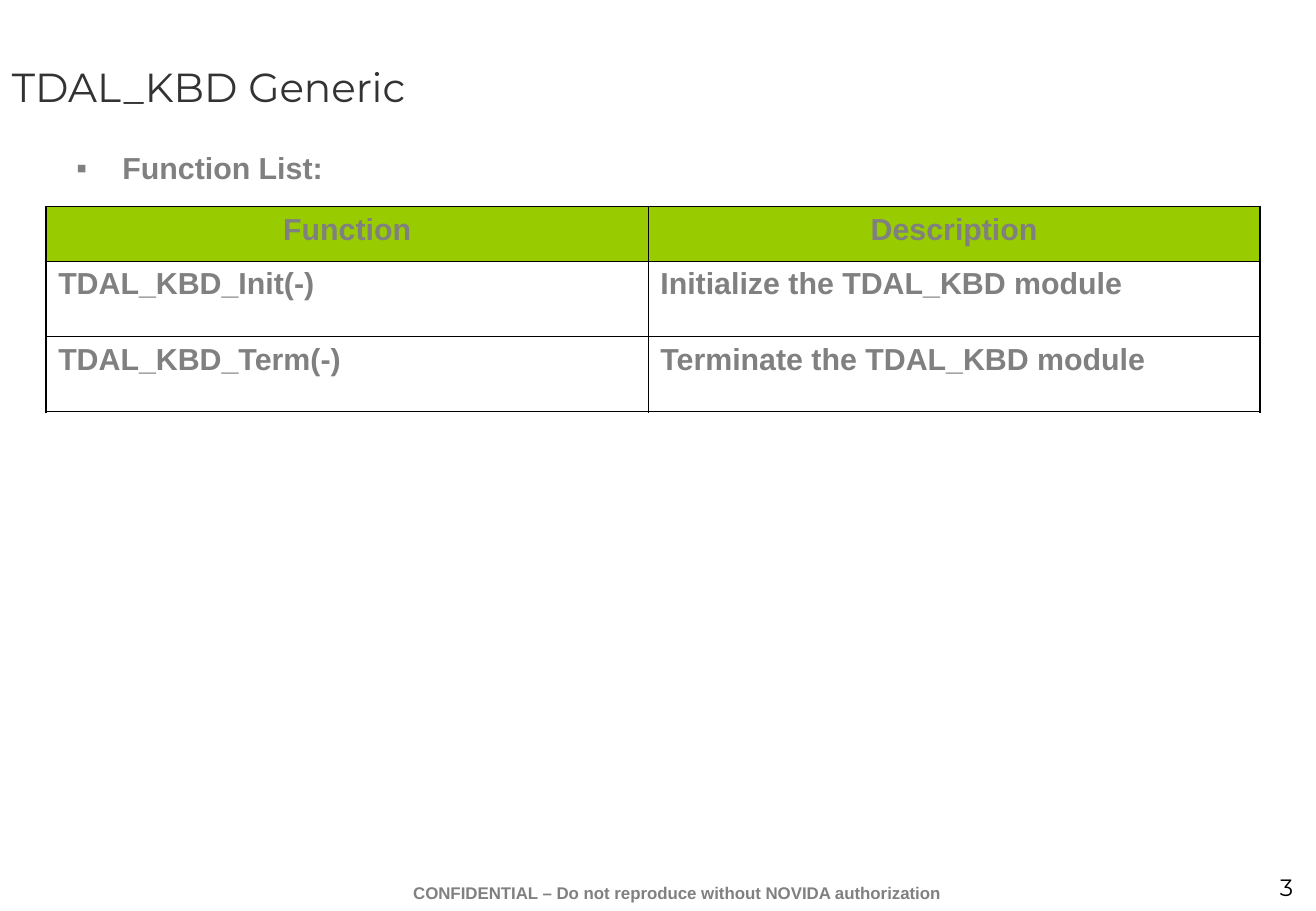
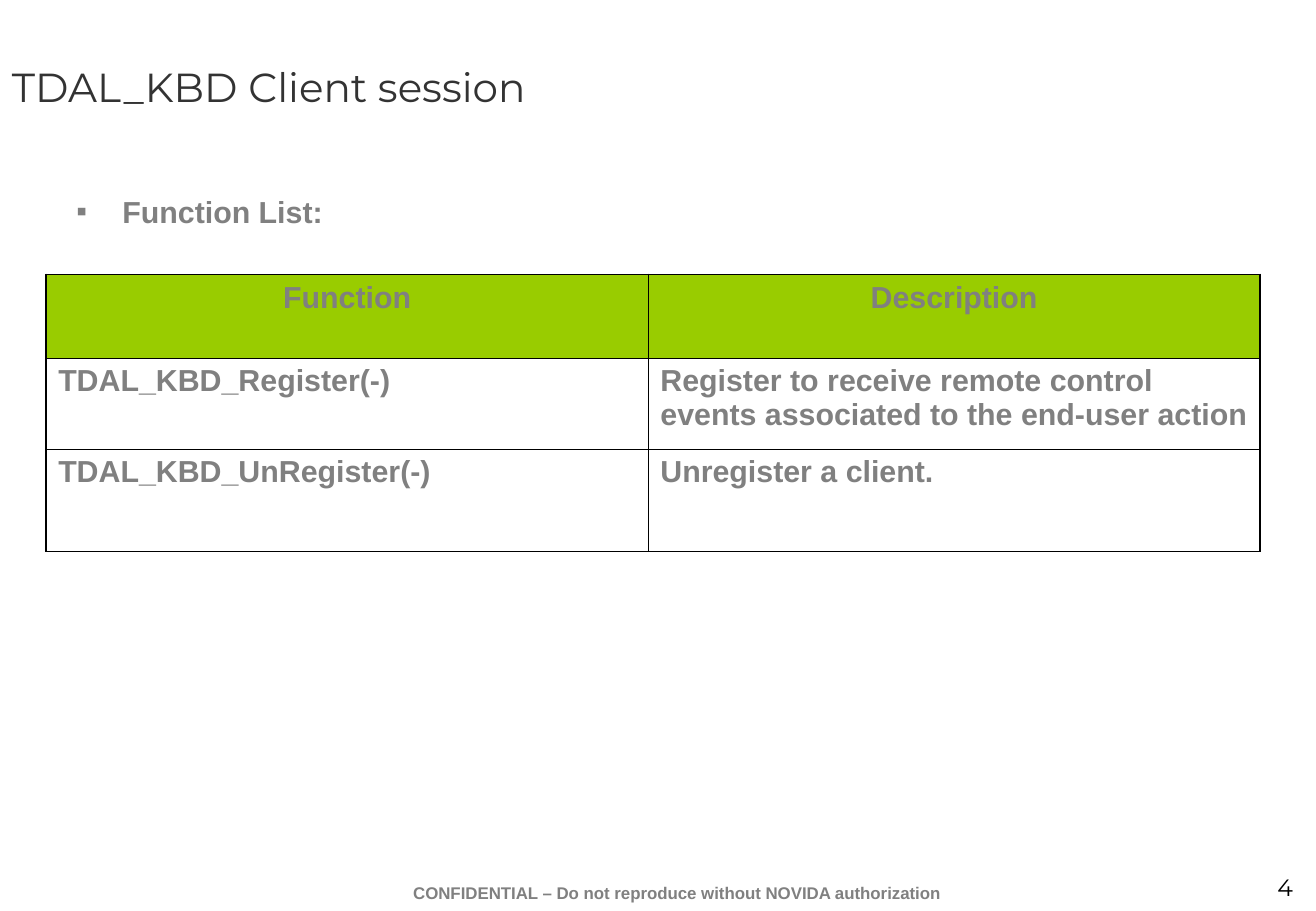
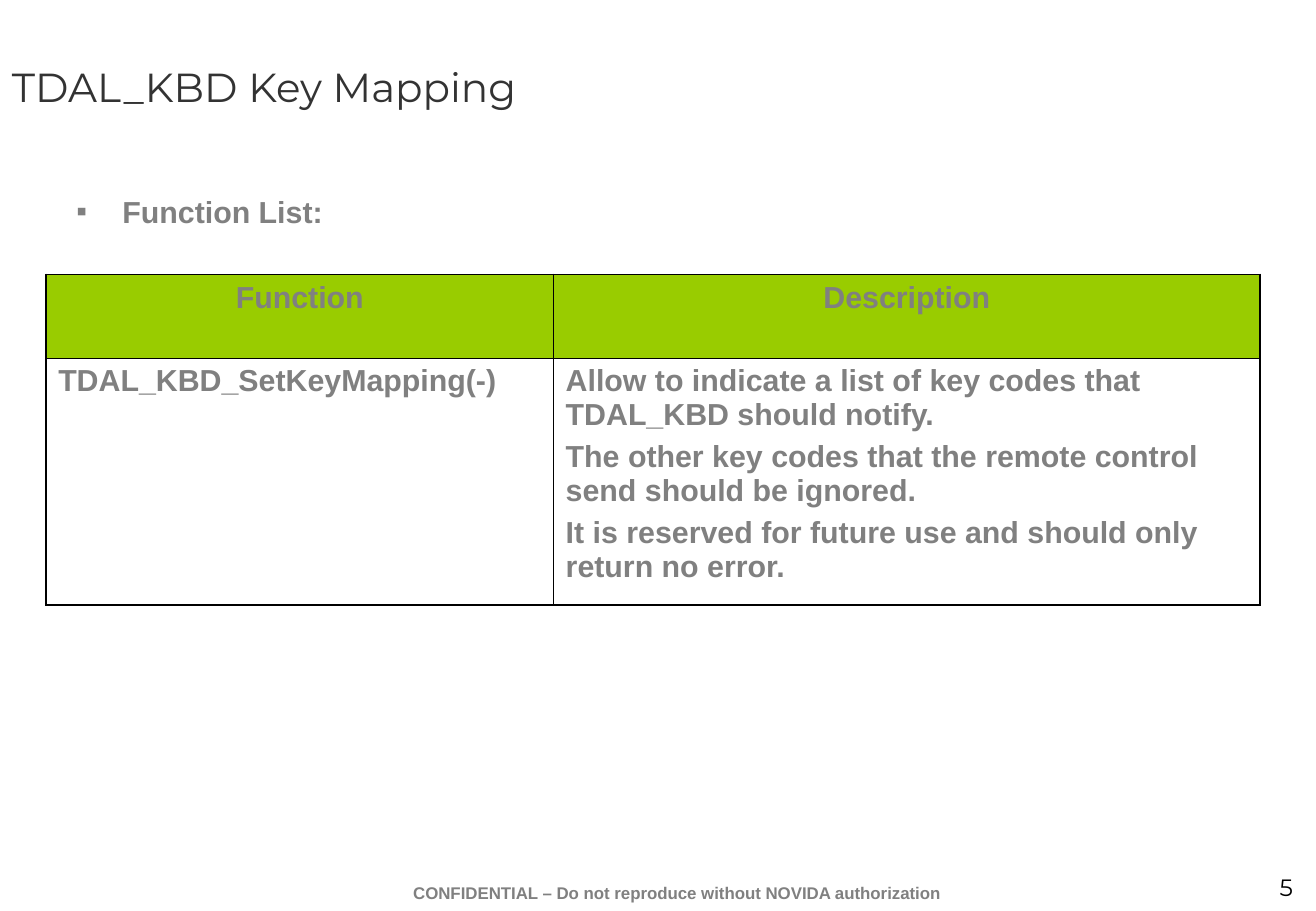
from dataclasses import dataclass

from lxml import etree
from pptx import Presentation
from pptx import util as u
from pptx.dml import color
from pptx.enum import text
from pptx.oxml import ns

LEFT, CENTER, RIGHT = text.PP_ALIGN.LEFT, text.PP_ALIGN.CENTER, text.PP_ALIGN.RIGHT
FOOTER = "CONFIDENTIAL – Do not reproduce without NOVIDA authorization"
FIRST_NUMBER = 3


@dataclass(frozen=True)
class Theme:
    heading_font: str = "Montserrat"
    body_font: str = "Arial"
    title: str = "333333"
    body: str = "808080"
    number: str = "000000"
    border: str = "000000"
    header: str = "99CC00"
    title_size: float = 24
    body_size: float = 18
    number_size: float = 14
    footer_size: float = 10
    gap: float = 4.5
    outer_line: float = 1.08
    inner_line: float = 0.45


PAGES = [
    {
        "title": "TDAL_KBD Generic",
        "list_inset": 0.08,
        "table_top": 1.7,
        "columns": [4.96, 5.04],
        "heights": [0.45, 0.62, 0.62],
        "rows": [
            ("TDAL_KBD_Init(-)", "Initialize the TDAL_KBD module"),
            ("TDAL_KBD_Term(-)", "Terminate the TDAL_KBD module"),
        ],
    },
    {
        "title": "TDAL_KBD Client session",
        "list_inset": 0.44,
        "table_top": 2.26,
        "columns": [4.96, 5.04],
        "heights": [0.69, 0.75, 0.84],
        "rows": [
            ("TDAL_KBD_Register(-)",
             "Register to receive remote control events associated to the end-user action"),
            ("TDAL_KBD_UnRegister(-)", "Unregister a client."),
        ],
    },
    {
        "title": "TDAL_KBD Key Mapping",
        "list_inset": 0.44,
        "table_top": 2.26,
        "columns": [4.18, 5.82],
        "heights": [0.69, 2.03],
        "rows": [
            ("TDAL_KBD_SetKeyMapping(-)",
             "Allow to indicate a list of key codes that TDAL_KBD should notify.\n"
             "The other key codes that the remote control send should be ignored.\n"
             "It is reserved for future use and should only return no error."),
        ],
    },
]


class Deck:
    def __init__(self, theme):
        self.theme = theme
        self.deck = Presentation()
        self.deck.slide_width = u.Inches(10.84)
        self.deck.slide_height = u.Inches(7.5)
        self.page = None
        self.body_style = self.make_style(theme.body_font, theme.body_size, theme.body, True)

    def make_style(self, name, size, rgb, bold=False):
        return {"name": name, "size": u.Pt(size), "bold": bold, "rgb": rgb}

    def add_page(self):
        self.page = self.deck.slides.add_slide(self.deck.slide_layouts[6])

    def fill_text(self, frame, content, style, align):
        for index, line in enumerate(content.split("\n")):
            para = frame.add_paragraph() if index else frame.paragraphs[0]
            para.alignment = align
            if index:
                para.space_before = u.Pt(self.theme.gap)
            span = para.add_run()
            span.text = line
            for key, value in style.items():
                if key == "rgb":
                    span.font.color.rgb = color.RGBColor.from_string(value)
                else:
                    setattr(span.font, key, value)

    def add_text(self, place, content, style, align=LEFT,
                 anchor=text.MSO_ANCHOR.TOP, inset=0.05):
        box = self.page.shapes.add_textbox(*map(u.Inches, place))
        frame = box.text_frame
        layout = {"word_wrap": True, "vertical_anchor": anchor, "margin_top": u.Inches(inset)}
        for key, value in layout.items():
            setattr(frame, key, value)
        self.fill_text(frame, content, style, align)
        return frame

    def add_title(self, content):
        theme = self.theme
        self.add_text((0, 0, 10.83, 1.42), content,
                      self.make_style(theme.heading_font, theme.title_size, theme.title),
                      anchor=text.MSO_ANCHOR.MIDDLE)

    def add_footer(self, number):
        theme = self.theme
        self.add_text((9.59, 7.14, 1.16, 0.33), str(number),
                      self.make_style(theme.heading_font, theme.number_size, theme.number), RIGHT)
        self.add_text((2.66, 7.22, 5.83, 0.28), FOOTER,
                      self.make_style(theme.body_font, theme.footer_size, theme.body, True), CENTER)

    def add_bullet(self, content, inset):
        frame = self.add_text((0.53, 1.15, 9.91, 4.95), content, self.body_style, inset=inset)
        props = frame.paragraphs[0]._p.get_or_add_pPr()
        indent = u.Inches(0.38)
        props.set("marL", str(indent))
        props.set("indent", str(-indent))
        tint = etree.SubElement(props, ns.qn("a:buClr"))
        etree.SubElement(tint, ns.qn("a:srgbClr"), val=self.theme.body)
        etree.SubElement(props, ns.qn("a:buFont"), typeface=self.theme.body_font)
        etree.SubElement(props, ns.qn("a:buChar"), char="▪")

    def add_borders(self, cell, outer_sides):
        props = cell._tc.get_or_add_tcPr()
        for side, is_outer in outer_sides.items():
            points = self.theme.outer_line if is_outer else self.theme.inner_line
            line = etree.SubElement(props, ns.qn("a:ln" + side), w=str(u.Pt(points)))
            fill = etree.SubElement(line, ns.qn("a:solidFill"))
            etree.SubElement(fill, ns.qn("a:srgbClr"), val=self.theme.border)

    def add_table(self, top, columns, heights, rows):
        place = map(u.Inches, (0.38, top, sum(columns), sum(heights)))
        table = self.page.shapes.add_table(len(heights), len(columns), *place).table
        table.first_row = table.horz_banding = False
        for column, width in zip(table.columns, columns):
            column.width = u.Inches(width)
        for row, height in zip(table.rows, heights):
            row.height = u.Inches(height)
        last_row, last_column = len(heights) - 1, len(columns) - 1
        for y, values in enumerate([("Function", "Description"), *rows]):
            for x, value in enumerate(values):
                cell = table.cell(y, x)
                self.add_borders(cell, {"L": x == 0, "R": x == last_column,
                                        "T": y == 0, "B": y == last_row})
                if y == 0:
                    cell.fill.solid()
                    cell.fill.fore_color.rgb = color.RGBColor.from_string(self.theme.header)
                else:
                    cell.fill.background()
                self.fill_text(cell.text_frame, value, self.body_style, LEFT if y else CENTER)


def main():
    deck = Deck(Theme())
    for number, page in enumerate(PAGES, FIRST_NUMBER):
        deck.add_page()
        deck.add_footer(number)
        deck.add_title(page["title"])
        deck.add_bullet("Function List:", page["list_inset"])
        deck.add_table(page["table_top"], page["columns"], page["heights"], page["rows"])
    deck.deck.save("out.pptx")


if __name__ == "__main__":
    main()
